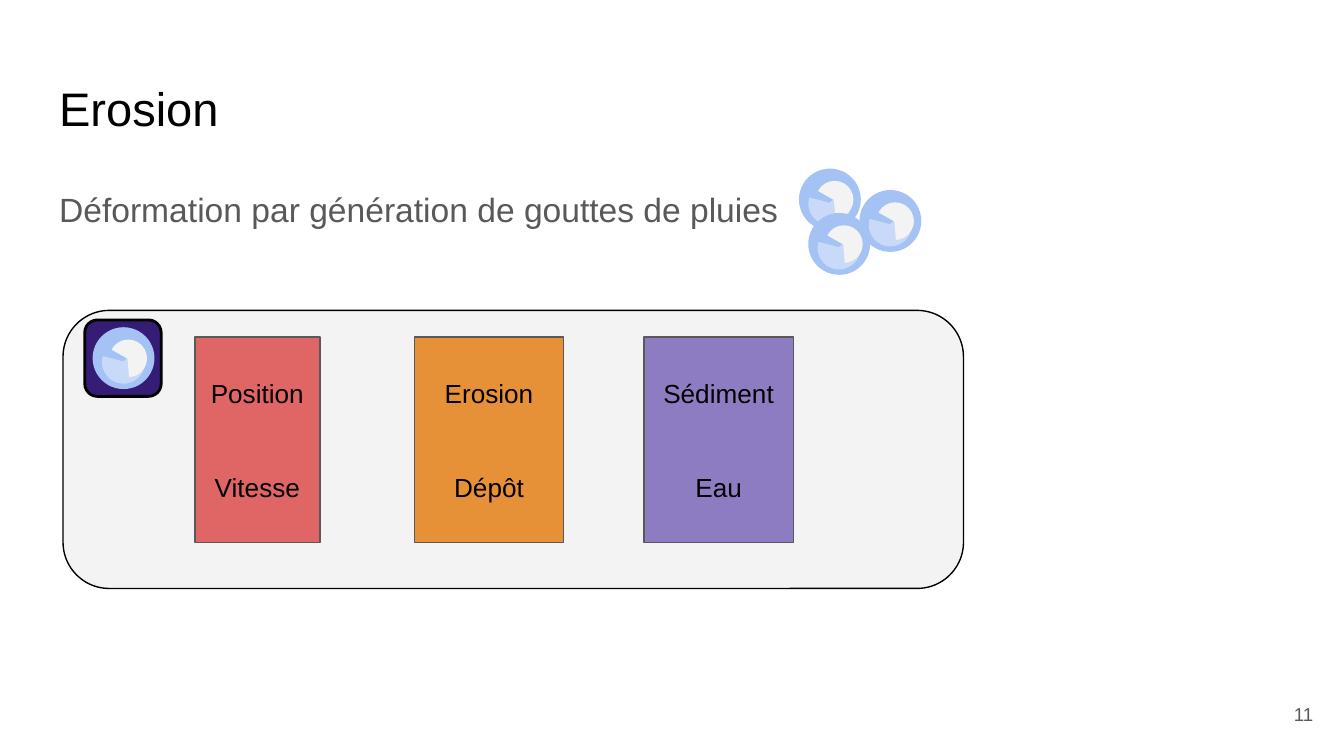
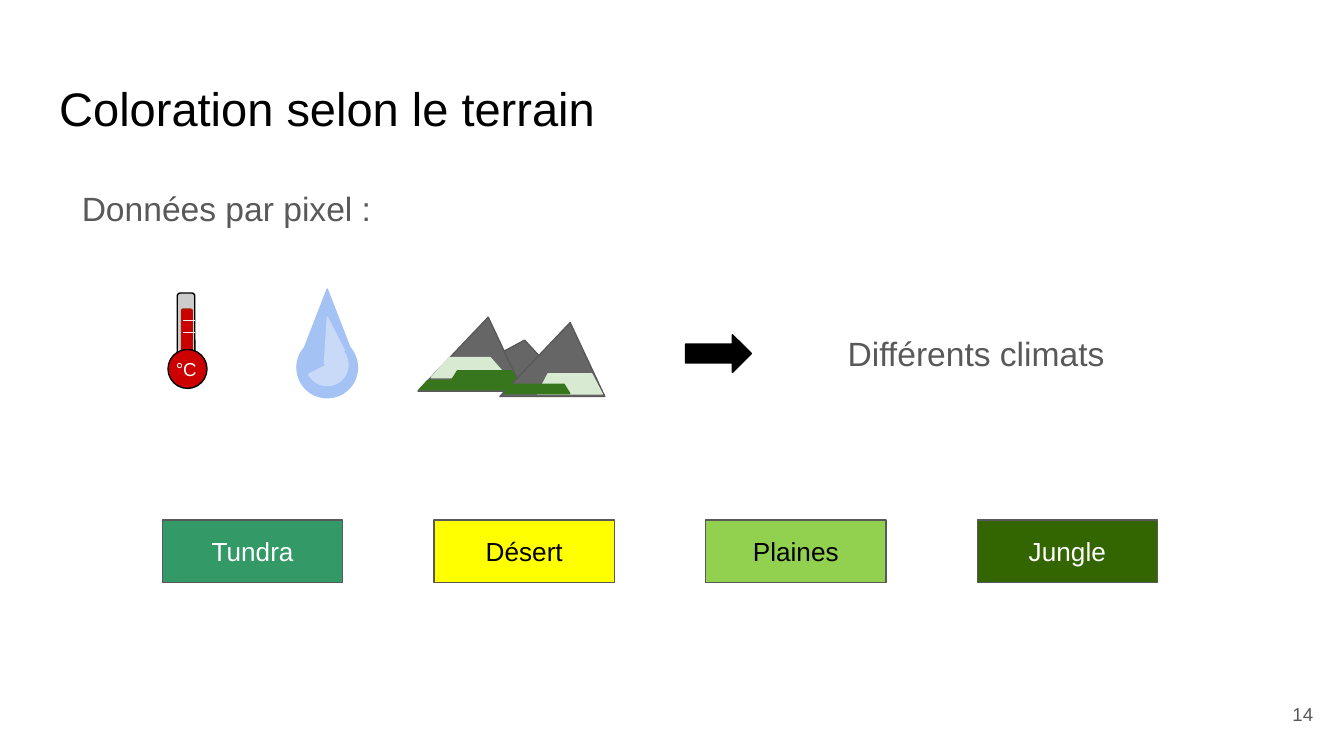
from lxml import etree
from pptx import Presentation
from pptx.dml.color import RGBColor
from pptx.enum.shapes import MSO_CONNECTOR, MSO_SHAPE
from pptx.enum.text import MSO_ANCHOR, MSO_AUTO_SIZE, PP_ALIGN
from pptx.oxml.ns import qn
from pptx.util import Pt

RECT = MSO_SHAPE.RECTANGLE
ROUNDED = MSO_SHAPE.ROUNDED_RECTANGLE
PIE = MSO_SHAPE.PIE
TRIANGLE = MSO_SHAPE.ISOSCELES_TRIANGLE
TRAPEZOID = MSO_SHAPE.TRAPEZOID
CONNECTOR_DOT = MSO_SHAPE.FLOWCHART_CONNECTOR
ARROW = MSO_SHAPE.RIGHT_ARROW
LEFT, CENTER, RIGHT = PP_ALIGN.LEFT, PP_ALIGN.CENTER, PP_ALIGN.RIGHT
TOP, MIDDLE = MSO_ANCHOR.TOP, MSO_ANCHOR.MIDDLE

FONT = "Arial"
COLORS = {
    "black": "000000", "white": "FFFFFF", "text": "595959", "panel": "F3F3F3",
    "water": "A4C2F4", "water_light": "C9DAF8", "badge": "351C75",
    "position": "E06666", "erosion": "E69138", "sediment": "8E7CC3",
    "glass": "CCCCCC", "mercury": "CC0000", "mercury_edge": "A61C00",
    "tick": "EEEEEE", "rock": "666666", "grass": "38761D", "snow": "D9EAD3",
    "tundra": "339966", "desert": "FFFF00", "plains": "92D050", "jungle": "336600",
}
FULL_PIE = (191.02, 189.92)
LARGE_PIE = (215.87, 141.48)
DROP_PIE = (191.02, 131.59)
GLINT_PIE = (215.87, 116.41)
PEAK = 0.67


def rgb(name):
    return RGBColor.from_string(COLORS[name])


def points(*values):
    return [Pt(v) for v in values]


def write(sp, lines, size, color, align=LEFT, anchor=TOP, gap=0):
    """Fill a shape with paragraphs, gap points apart."""
    tf = sp.text_frame
    tf.word_wrap = True
    tf.auto_size = MSO_AUTO_SIZE.NONE
    tf.vertical_anchor = anchor
    tf.margin_left = tf.margin_right = tf.margin_top = tf.margin_bottom = Pt(7.2)
    tf.text = "\n".join(lines)
    for i, p in enumerate(tf.paragraphs):
        p.alignment = align
        p.space_before = Pt(gap if i else 0)
        p.font.name = FONT
        p.font.size = Pt(size)
        p.font.color.rgb = rgb(color)


def add_text(shapes, text, box, size=18, color="text", **layout):
    write(shapes.add_textbox(*points(*box)), [text], size, color, **layout)


def add_shape(shapes, kind, box, fill, line=None, width=0.75, adj=(), rotation=0):
    """Add a preset shape; without a line colour, the outline takes the fill."""
    sp = shapes.add_shape(kind, *points(*box))
    sp.shadow.inherit = False
    sp.fill.solid()
    sp.fill.fore_color.rgb = rgb(fill)
    sp.line.color.rgb = rgb(line or fill)
    sp.line.width = Pt(width)
    sp.rotation = rotation
    for i, value in enumerate(adj):
        sp.adjustments[i] = value
    return sp


def add_label_box(shapes, lines, box, fill, color="black", gap=0):
    sp = add_shape(shapes, RECT, box, fill, "text")
    write(sp, lines, 14, color, align=CENTER, anchor=MIDDLE, gap=gap)


def add_line(shapes, x1, y1, x2, y2, color):
    line = shapes.add_connector(MSO_CONNECTOR.STRAIGHT, *points(x1, y1, x2, y2))
    line.line.color.rgb = rgb(color)
    line.line.width = Pt(0.75)
    etree.SubElement(line._element.spPr, qn("a:effectLst"))


def place(sp, box):
    sp.left, sp.top, sp.width, sp.height = points(*box)


def add_slide(prs, layout, title, number):
    slide = prs.slides.add_slide(prs.slide_layouts[layout])
    place(slide.shapes.title, (24.5, 35.3, 671, 45.4))
    write(slide.shapes.title, [title], 25.2, "black")
    add_text(slide.shapes, str(number), (667.4, 367.2, 43.2, 31), 10,
             align=RIGHT, anchor=MIDDLE)
    return slide


def fill_body(slide, text):
    body = slide.placeholders[1]
    place(body, (24.5, 90.7, 671, 45.4))
    body.text_frame.text = text
    write(body, [text], 18, "text")
    p = body.text_frame.paragraphs[0]
    p.line_spacing = 1.15
    p.space_after = Pt(12)
    pPr = p._p.get_or_add_pPr()
    pPr.set("marL", "0")
    pPr.set("indent", "0")
    bullet = etree.Element(qn("a:buNone"))
    pPr.find(qn("a:spcAft")).addnext(bullet)


def add_raindrop(shapes, x, y):
    """Draw a round drop with its top left corner at x, y."""
    add_shape(shapes, PIE, (x, y, 32.4, 32.4), "water", adj=FULL_PIE)
    add_shape(shapes, PIE, (x + 5, y + 7.2, 22.3, 22.3), "water_light",
              adj=LARGE_PIE, rotation=319.1)
    add_shape(shapes, PIE, (x + 9, y + 6.5, 19.4, 19.4), "panel",
              adj=LARGE_PIE, rotation=209.8)


def add_thermometer(shapes):
    add_shape(shapes, ROUNDED, (95, 157, 9.4, 36), "glass", "black")
    add_shape(shapes, ROUNDED, (97.2, 165.6, 5.8, 38.2), "mercury", "mercury_edge")
    add_shape(shapes, CONNECTOR_DOT, (90, 187.2, 20.9, 20.9), "mercury", "black")
    for y in (171.6, 178):
        add_line(shapes, 97.9, y, 104.4, y, "tick")
    add_text(shapes, "°C", (87.1, 184.3, 28.8, 26.6), 10, "white")


def add_water_drop(shapes):
    add_shape(shapes, TRIANGLE, (159.1, 154.8, 32.4, 41.8), "water")
    add_shape(shapes, TRIANGLE, (173.5, 169.9, 17.3, 30.2), "water_light", adj=(0.11,))
    add_shape(shapes, PIE, (159.1, 180.7, 32.4, 32.4), "water", adj=DROP_PIE)
    add_shape(shapes, PIE, (164.2, 184.3, 22.3, 22.3), "water_light",
              adj=GLINT_PIE, rotation=319.1)


def add_mountains(shapes):
    for kind, box, fill, adj in (
        (TRIANGLE, (243.4, 182.2, 56.2, 20.2), "rock", PEAK),
        (TRIANGLE, (223.9, 169.9, 56.2, 39.6), "rock", PEAK),
        (TRAPEZOID, (224.6, 203.8, 54.7, 5), "grass", 0.91),
        (TRAPEZOID, (231.1, 191.5, 41, 10.8), "snow", 0.88),
        (TRAPEZOID, (241.9, 198.7, 35.3, 5), "grass", 0.63),
        (TRIANGLE, (267.8, 172.8, 56.2, 39.6), "rock", PEAK),
        (TRAPEZOID, (288, 200.2, 34.6, 10.8), "snow", 0.52),
        (TRAPEZOID, (270, 205.9, 35.3, 5), "grass", 0.63),
    ):
        add_shape(shapes, kind, box, fill, "text" if fill == "rock" else None, adj=(adj,))


def build_erosion(prs):
    slide = add_slide(prs, 1, "Erosion", 11)
    shapes = slide.shapes
    fill_body(slide, "Déformation par génération de gouttes de pluies")
    for x, y in ((428.4, 90.7), (460.8, 102.2), (433.4, 114.5)):
        add_raindrop(shapes.add_group_shape().shapes, x, y)

    panel = shapes.add_group_shape().shapes
    add_shape(panel, ROUNDED, (33.8, 166.3, 482.4, 149), "panel", "black")
    add_shape(panel, ROUNDED, (45.4, 171.4, 41, 41), "badge", "black", 1.5)
    add_raindrop(panel, 50, 175.7)

    for lines, x, width, fill in (
        (("Position", "Vitesse"), 104.4, 67, "position"),
        (("Erosion", "Dépôt"), 222, 80, "erosion"),
        (("Sédiment", "Eau"), 345, 80, "sediment"),
    ):
        add_label_box(shapes, lines, (x, 180.5, width, 110), fill, gap=33.6)


def build_terrain(prs):
    shapes = add_slide(prs, 5, "Coloration selon le terrain", 14).shapes
    add_text(shapes, "Données par pixel :", (36.7, 93.6, 254, 36))
    for draw in (add_thermometer, add_water_drop, add_mountains):
        draw(shapes.add_group_shape().shapes)
    add_text(shapes, "Différents climats", (447, 171.4, 164, 36))
    add_shape(shapes, ARROW, (367.2, 179.3, 35.3, 20.2), "black", adj=(0.5, 0.5))

    climates = (("Tundra", "tundra", "white"), ("Désert", "desert", "black"),
                ("Plaines", "plains", "black"), ("Jungle", "jungle", "white"))
    for i, (name, fill, color) in enumerate(climates):
        add_label_box(shapes, [name], (87.1 + i * 145.5, 278.6, 96.5, 33.6), fill, color)


def main():
    prs = Presentation()
    prs.slide_width, prs.slide_height = points(720, 405)
    build_erosion(prs)
    build_terrain(prs)
    prs.save("out.pptx")


if __name__ == "__main__":
    main()
